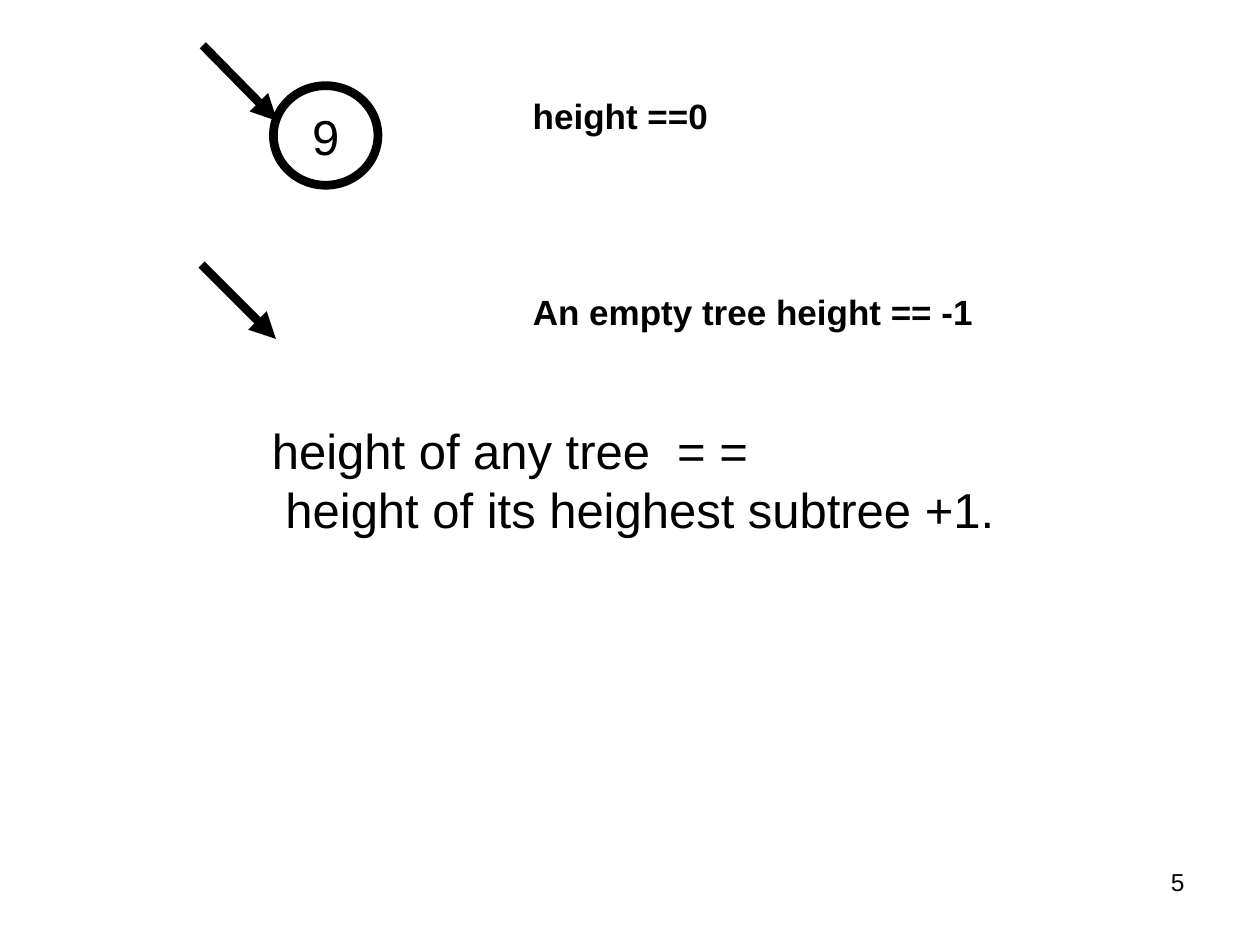
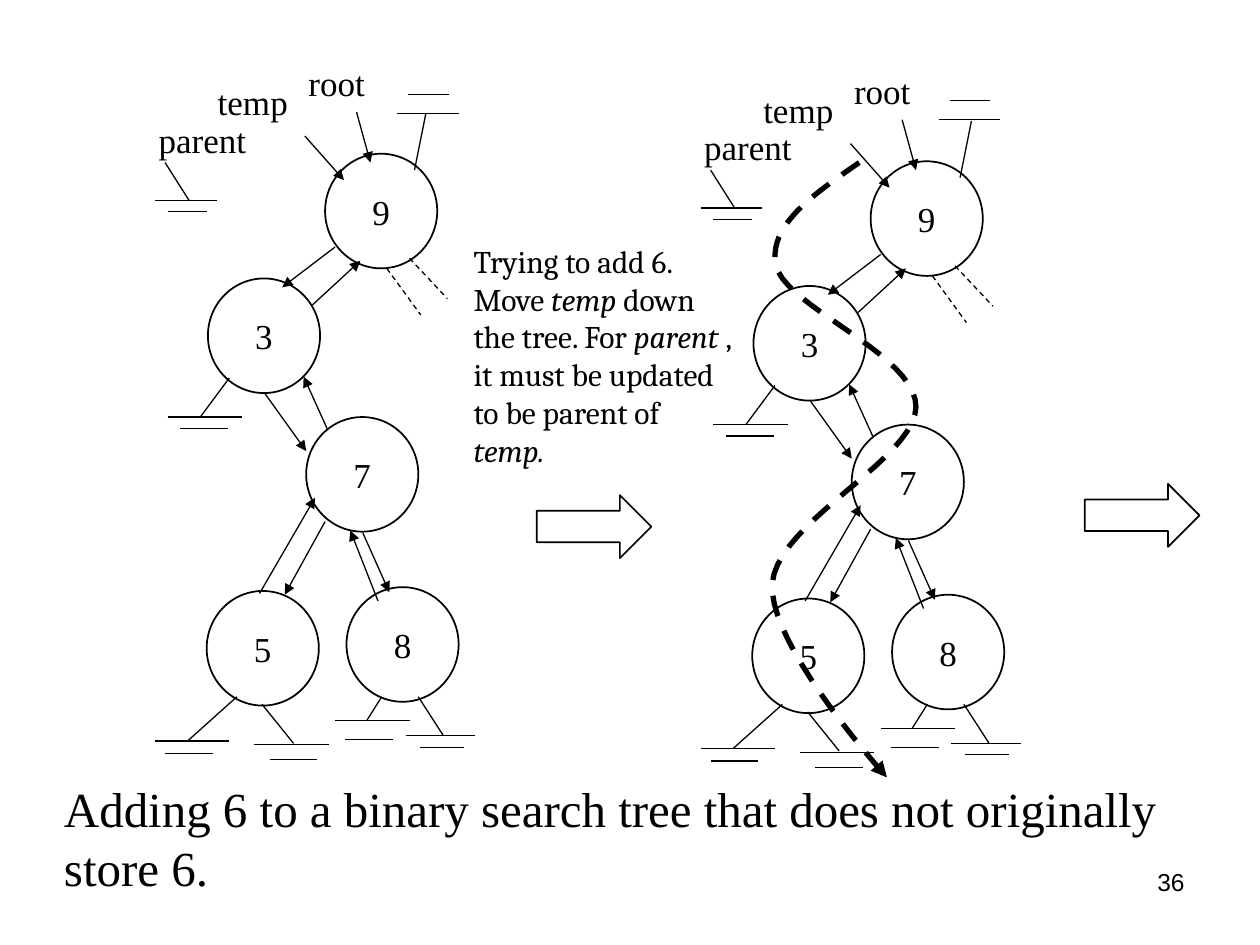
import pptx
import pptx.dml.color
import pptx.enum.dml
import pptx.enum.shapes
import pptx.enum.text
import pptx.oxml.ns
import pptx.util
from lxml import etree

Inches = pptx.util.Inches
SHAPES = pptx.enum.shapes.MSO_SHAPE
ALIGN = pptx.enum.text.PP_ALIGN
BLACK = "000000"
SANS = {"name": "Arial", "size": pptx.util.Pt(28)}
LABEL = {"name": "Arial", "size": pptx.util.Pt(20), "bold": True}
NUMBER = {"name": "Arial", "size": pptx.util.Pt(14)}
SERIF = {"name": "Times New Roman", "size": pptx.util.Pt(20)}
CAPTION = {"name": "Times New Roman", "size": pptx.util.Pt(28)}
NOTE = {"name": "Cambria", "size": pptx.util.Pt(18)}

NODES = [("3", 1.65, 2.21), ("7", 2.43, 3.31), ("8", 2.75, 4.66),
         ("5", 1.64, 4.69), ("9", 2.58, 1.22)]
NAMES = [("root", 2.35, 0.44, 0.97, 0.5), ("parent", 1.16, 0.89, 1.22, 0.68),
         ("temp", 1.63, 0.59, 1.14, 0.71)]
POINTERS = [
    (2.1, 3.12, 2.43, 3.58), (2.88, 4.23, 3.09, 4.7), (2.58, 4.14, 2.26, 4.72),
    (2.66, 1.96, 2.24, 2.28), (2.06, 4.71, 2.5, 3.95), (3, 4.77, 2.78, 4.21),
    (2.6, 3.41, 2.41, 2.99), (2.83, 0.89, 2.94, 1.29), (2.48, 2.42, 2.86, 2.07),
    (2.42, 1.08, 2.73, 1.43)]
NULL_LINKS = [
    (2.08, 5.59, 2.33, 5.9), (1.88, 5.53, 1.49, 5.88), (3.03, 5.53, 2.91, 5.72),
    (3.29, 1.35, 3.38, 0.9), (1.82, 3, 1.59, 3.31), (1.31, 1.29, 1.5, 1.59),
    (3.32, 5.53, 3.52, 5.84)]
OTHER_SUBTREE = [(3.07, 2.13, 3.34, 2.5), (3.25, 2.05, 3.55, 2.37)]
GROUNDS = [
    (1.23, 5.88, 0.59, 0.08, 0.38, 0.1), (2.02, 5.91, 0.59, 0.12, 0.38, 0.12),
    (2.66, 5.72, 0.59, 0.08, 0.38, 0.15), (1.33, 3.31, 0.59, 0.1, 0.38, 0.09),
    (1.23, 1.59, 0.49, 0.1, 0.31, 0.09), (3.22, 5.84, 0.55, 0.11, 0.35, 0.09)]
TEMP_ROUTE = [
    (6.82, 1.29), (6.46, 1.54), (6.09, 1.79), (6.16, 2.11), (6.24, 2.44),
    (7.27, 2.81), (7.27, 3.23), (7.26, 3.65), (6.17, 4.14), (6.13, 4.63),
    (6.09, 5.12), (7.04, 6.17), (7.04, 6.17)]


def rgb(value):
    return pptx.dml.color.RGBColor.from_string(value)


def bezier_points(controls, steps=20):
    points = [controls[0]]
    for i in range(0, len(controls) - 1, 3):
        curve = controls[i:i + 4]
        for k in range(1, steps + 1):
            t = k / steps
            weights = ((1 - t) ** 3, 3 * t * (1 - t) ** 2, 3 * t * t * (1 - t), t ** 3)
            points.append(tuple(sum(w * c[axis] for w, c in zip(weights, curve))
                                for axis in (0, 1)))
    return points


class Deck:
    def __init__(self):
        self.prs = pptx.Presentation()
        self.prs.slide_width = Inches(10)
        self.prs.slide_height = Inches(7.5)

    def new_slide(self, number):
        self.s = self.prs.slides.add_slide(self.prs.slide_layouts[6])
        self.text([number], 7.17, 6.83, 2.33, 0.52, NUMBER, align=ALIGN.RIGHT)

    def outline(self, sp, width, dashed=False, arrow=False):
        sp.line.color.rgb = rgb(BLACK)
        sp.line.width = pptx.util.Pt(width)
        if dashed:
            sp.line.dash_style = pptx.enum.dml.MSO_LINE.DASH
        if arrow:
            etree.SubElement(sp.line._get_or_add_ln(),
                             pptx.oxml.ns.qn("a:tailEnd"), type="triangle")

    def run(self, p, text, style):
        r = p.add_run()
        r.text = text
        for key, value in style.items():
            setattr(r.font, key, value)
        r.font.color.rgb = rgb(BLACK)

    def text(self, paragraphs, x, y, w, h, style, align=ALIGN.LEFT, level=0):
        sp = self.s.shapes.add_textbox(Inches(x), Inches(y), Inches(w), Inches(h))
        tf = sp.text_frame
        tf.word_wrap = True
        for i, text in enumerate(paragraphs):
            p = tf.paragraphs[0] if i == 0 else tf.add_paragraph()
            p.alignment = align
            p.level = level
            runs = [(text, False)] if isinstance(text, str) else text
            for part, italic in runs:
                self.run(p, part, {**style, "italic": italic})

    def shape(self, kind, x, y, w, h, width=1):
        sp = self.s.shapes.add_shape(kind, Inches(x), Inches(y), Inches(w), Inches(h))
        sp.shadow.inherit = False
        sp.fill.background()
        self.outline(sp, width)
        return sp

    def node(self, key, x, y, w=0.89, h=0.91, width=1, style=SERIF):
        tf = self.shape(SHAPES.OVAL, x, y, w, h, width).text_frame
        tf.word_wrap = False
        tf.vertical_anchor = pptx.enum.text.MSO_ANCHOR.MIDDLE
        p = tf.paragraphs[0]
        p.alignment = ALIGN.CENTER
        self.run(p, key, style)

    def line(self, x1, y1, x2, y2, width=0.75, **look):
        sp = self.s.shapes.add_connector(
            pptx.enum.shapes.MSO_CONNECTOR.STRAIGHT,
            Inches(x1), Inches(y1), Inches(x2), Inches(y2))
        self.outline(sp, width, **look)
        etree.SubElement(sp._element.spPr, pptx.oxml.ns.qn("a:effectLst"))

    def ground(self, x, y, w, inset, inner, gap):
        self.line(x, y, x + w, y)
        self.line(x + inset, y + gap, x + inset + inner, y + gap)

    def route(self, controls):
        points = [(Inches(x), Inches(y)) for x, y in bezier_points(controls)]
        builder = self.s.shapes.build_freeform(*points[0])
        builder.add_line_segments(points[1:], close=False)
        sp = builder.convert_to_shape()
        sp.shadow.inherit = False
        sp.fill.background()
        self.outline(sp, 3, dashed=True, arrow=True)

    def tree(self, dx, dy):
        for key, x, y in NODES:
            self.node(key, x + dx, y + dy)
        for name, x, y, w, h in NAMES:
            self.text([name], x + dx, y + dy, w, h, SERIF)
        for lines, look in ((POINTERS, {"arrow": True}), (NULL_LINKS, {}),
                            (OTHER_SUBTREE, {"dashed": True})):
            for x1, y1, x2, y2 in lines:
                self.line(x1 + dx, y1 + dy, x2 + dx, y2 + dy, **look)
        for x, y, *sizes in GROUNDS:
            self.ground(x + dx, y + dy, *sizes)


def height_slide(deck):
    deck.new_slide("5")
    deck.node("9", 2.17, 0.68, 0.83, 0.79, width=5, style=SANS)
    deck.line(1.61, 0.36, 2.2, 0.96, width=5, arrow=True)
    deck.text(["height ==0"], 4.13, 0.7, 2.36, 0.44, LABEL)
    deck.line(1.6, 2.1, 2.19, 2.69, width=5, arrow=True)
    deck.text(["An empty tree height == -1"], 4.13, 2.26, 4.25, 0.44, LABEL)
    deck.text(["height of any tree  = =", " height of its heighest subtree +1."],
              1.56, 3.29, 6.73, 1.04, SANS, level=1)


def adding_slide(deck):
    deck.new_slide("36")
    deck.tree(4.33, 0.06)
    deck.tree(0, 0)
    for x, y in ((4.26, 3.93), (8.61, 3.84)):
        deck.shape(SHAPES.RIGHT_ARROW, x, y, 0.91, 0.5)
    for x, y in ((3.15, 0.9), (7.45, 0.95)):
        deck.ground(x, y, 0.49, 0.09, 0.32, -0.15)
    deck.route(TEMP_ROUTE)
    deck.text([[("Trying to add 6. Move ", False), ("temp", True),
                (" down the tree. For ", False), ("parent", True),
                (" , it must be updated to be parent of ", False), ("temp.", True)]],
              3.66, 1.87, 2.25, 2.27, NOTE)
    deck.text(["Adding 6 to a binary search tree that does not originally store 6."],
              0.41, 6.13, 9.23, 1.04, CAPTION)


def main():
    deck = Deck()
    height_slide(deck)
    adding_slide(deck)
    deck.prs.save("out.pptx")


if __name__ == "__main__":
    main()
